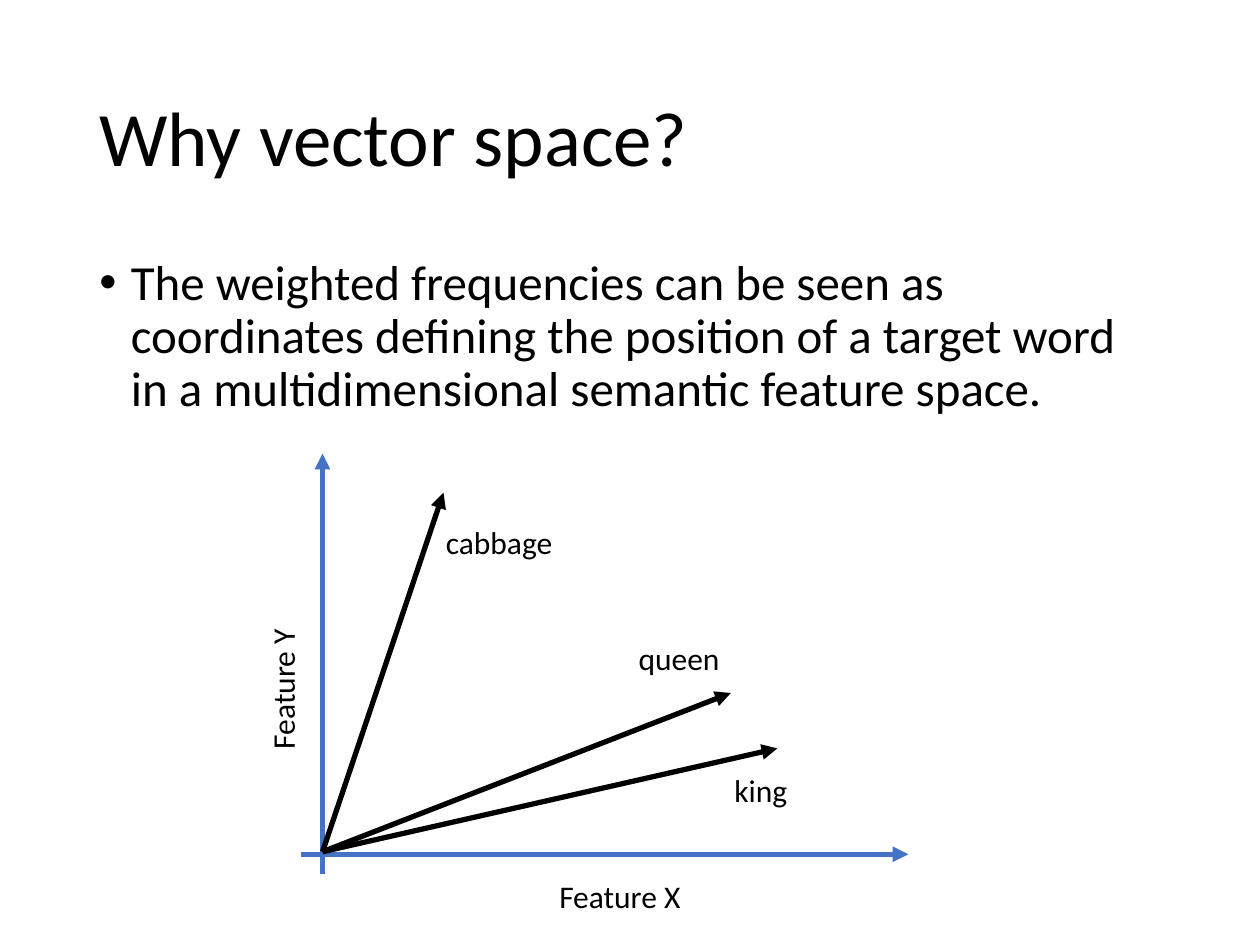
from dataclasses import dataclass

from lxml.etree import SubElement
from pptx import Presentation
from pptx.dml.color import RGBColor
from pptx.enum.shapes import MSO_CONNECTOR
from pptx.enum.text import MSO_ANCHOR, PP_ALIGN
from pptx.oxml.ns import qn
from pptx.util import Inches, Pt


@dataclass(frozen=True)
class Theme:
    font: str = "Calibri"
    ink: RGBColor = RGBColor(0x00, 0x00, 0x00)
    axis: RGBColor = RGBColor(0x44, 0x72, 0xC4)
    title_size: int = 44
    body_size: int = 28
    label_size: int = 18
    stroke: int = 3


@dataclass(frozen=True)
class Box:
    left: float
    top: float
    width: float
    height: float

    def inner(self, left, top, width, height):
        return Box(self.left + left, self.top + top, width, height)

    def point(self, x, y):
        return self.left + x, self.top + y


THEME = Theme()
COLUMNS, ROWS = 100, 75
LABEL_HEIGHT = 4
AXIS_LABEL_WIDTH = 31.2
WORDS = [
    ("king", (37.8, 23.4), (33.4, 24.7), 12.8),
    ("queen", (34.1, 19), (25.8, 14.2), 12.8),
    ("cabbage", (11.3, 3.1), (10.5, 5), 16.6),
]


def grid(cells):
    return Inches(cells / 10)


def add_text(slide, box, text, size, align=PP_ALIGN.LEFT, anchor=MSO_ANCHOR.TOP):
    holder = slide.shapes.add_textbox(
        grid(box.left), grid(box.top), grid(box.width), grid(box.height))
    frame = holder.text_frame
    frame.word_wrap = True
    frame.vertical_anchor = anchor
    frame.text = text
    paragraph = frame.paragraphs[0]
    paragraph.alignment = align
    font = paragraph.runs[0].font
    font.name = THEME.font
    font.size = Pt(size)
    font.color.rgb = THEME.ink
    return holder


def add_arrow(slide, start, tip, color):
    arrow = slide.shapes.add_connector(
        MSO_CONNECTOR.STRAIGHT, *map(grid, start), *map(grid, tip))
    arrow.line.color.rgb = color
    arrow.line.width = Pt(THEME.stroke)
    SubElement(arrow.line._get_or_add_ln(), qn("a:tailEnd"), type="triangle")
    SubElement(arrow._element.spPr, qn("a:effectLst"))


def add_title(slide, box):
    title = add_text(slide, box, "Why vector space?", THEME.title_size,
                     anchor=MSO_ANCHOR.MIDDLE)
    title.text_frame.paragraphs[0].line_spacing = 0.9


def add_statement(slide, box):
    statement = add_text(
        slide, box,
        "The weighted frequencies can be seen as coordinates defining the "
        "position of a target word in a multidimensional semantic feature space.",
        THEME.body_size)
    paragraph = statement.text_frame.paragraphs[0]
    paragraph.line_spacing = 0.9
    paragraph.space_before = Pt(10)
    properties = paragraph._p.get_or_add_pPr()
    indent = Inches(0.25)
    properties.set("marL", str(indent))
    properties.set("indent", str(-indent))
    SubElement(properties, qn("a:buFont"), typeface="Arial")
    SubElement(properties, qn("a:buChar"), char="•")


def add_vector_space(slide, box):
    origin_x, origin_y = 1.7, 31.8

    add_arrow(slide, box.point(0, origin_y), box.point(box.width, origin_y), THEME.axis)
    add_text(slide, box.inner(9.7, 33.1, AXIS_LABEL_WIDTH, LABEL_HEIGHT),
             "Feature X", THEME.label_size, PP_ALIGN.CENTER)

    add_arrow(slide, box.point(origin_x, box.height), box.point(origin_x, 0), THEME.axis)
    feature_y = add_text(slide, box.inner(-17.1, 16.7, AXIS_LABEL_WIDTH, LABEL_HEIGHT),
                         "Feature Y", THEME.label_size, PP_ALIGN.CENTER)
    feature_y.rotation = 270

    for word, tip, label, width in WORDS:
        add_arrow(slide, box.point(origin_x, origin_y - 0.2), box.point(*tip), THEME.ink)
        add_text(slide, box.inner(*label, width, LABEL_HEIGHT), word, THEME.label_size)


def main():
    deck = Presentation()
    deck.slide_width, deck.slide_height = grid(COLUMNS), grid(ROWS)
    slide = deck.slides.add_slide(deck.slide_layouts[6])
    margin = 6.9
    content_width = COLUMNS - 2 * margin
    add_title(slide, Box(margin, 4, content_width, 14.5))
    add_statement(slide, Box(margin, 20, content_width, 47.6))
    add_vector_space(slide, Box(23.9, 36, 48.2, 33.4))
    deck.save("out.pptx")


if __name__ == "__main__":
    main()
